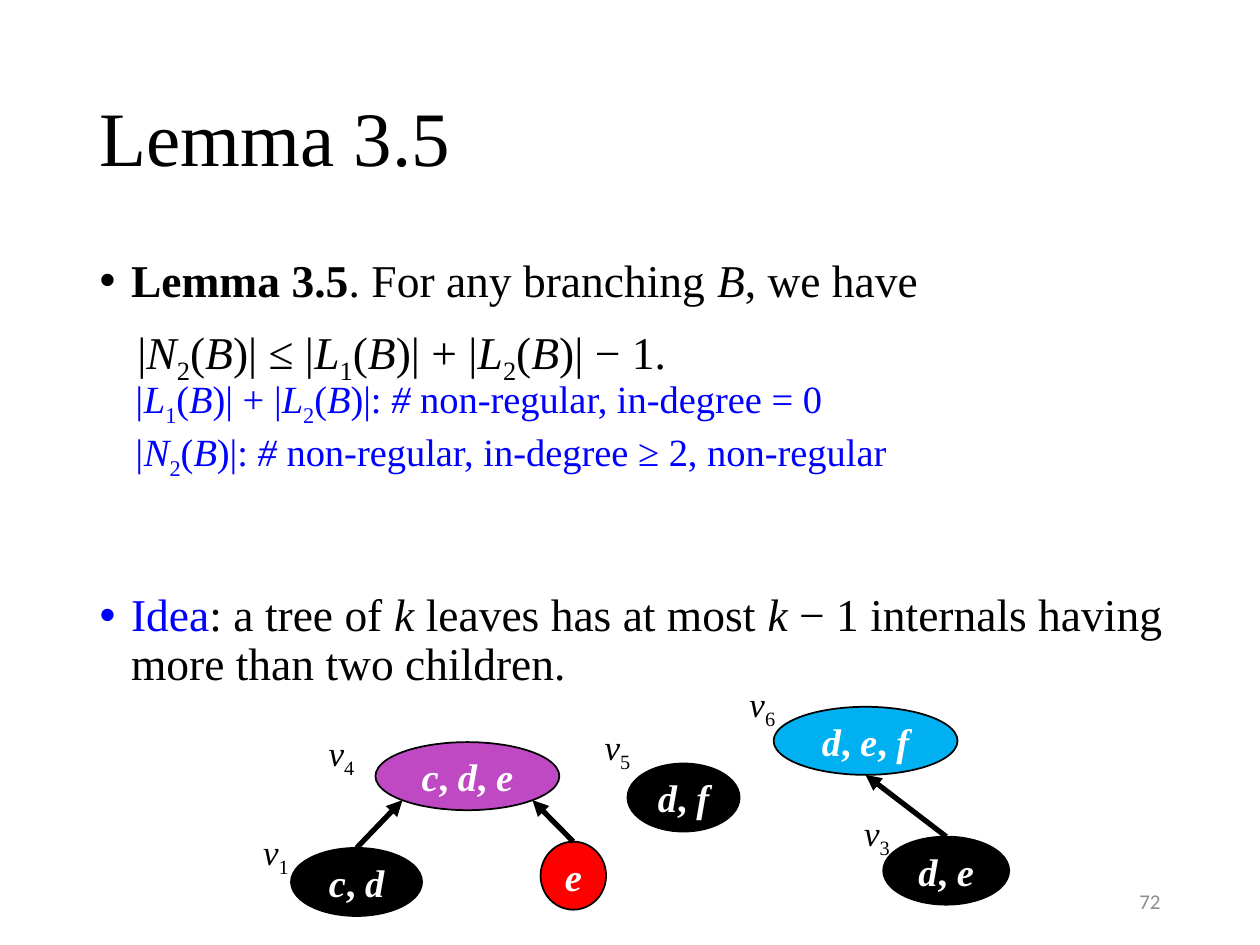
"""Build the Lemma 3.5 slide with its branching diagram on a 100 by 75 grid."""
import math
from lxml import etree
from pptx import Presentation
from pptx import util as u
from pptx.dml.color import RGBColor
from pptx.enum import shapes, text
from pptx.oxml.ns import qn

COLORS = {"black": "000000", "white": "FFFFFF", "blue": "0000FF", "red": "FF0000",
          "purple": "BF49C2", "sky": "00B0F0", "gray": "8C8C8C"}

prs = Presentation()
prs.slide_width, prs.slide_height = u.Inches(10), u.Inches(7.5)
COL, ROW = prs.slide_width / 100, prs.slide_height / 75


def cells(*values):
    """Turn alternating column and row counts into lengths."""
    return [int(v * (ROW if i % 2 else COL)) for i, v in enumerate(values)]


def write(p, markup, size=22, color="black", bold=False, font="Times New Roman", align=None):
    """Add runs to a paragraph: * toggles italic and _ toggles subscript."""
    italic = sub = False
    p.alignment = align
    for part in markup.replace("*", "\n*\n").replace("_", "\n_\n").split("\n"):
        if part == "*":
            italic = not italic
        elif part == "_":
            sub = not sub
        elif part:
            r = p.add_run()
            r.text = part
            r.font.name, r.font.size = font, u.Pt(size)
            r.font.bold, r.font.italic = bold, italic
            r.font.color.rgb = RGBColor.from_string(COLORS[color])
            if sub:
                r.font._element.set("baseline", "-25000")


s = prs.slides.add_slide(prs.slide_layouts[1])
title, body = s.placeholders
title.left, title.top, title.width, title.height = cells(6.9, 4, 86.2, 14.5)
title.text_frame.vertical_anchor = text.MSO_ANCHOR.MIDDLE
title.text_frame.paragraphs[0].line_spacing = 0.9
write(title.text_frame.paragraphs[0], "Lemma 3.5", size=44, align=text.PP_ALIGN.LEFT)

body.left, body.top, body.width, body.height = cells(6.9, 20, 92.1, 47.6)
tf = body.text_frame
tf.auto_size = text.MSO_AUTO_SIZE.NONE
items = [
    (True, 10, [("Lemma 3.5", "black", True), (". For any branching *B*, we have", "black", False)]),
    (False, 10, [("|*N*_2_(*B*)| ≤ |*L*_1_(*B*)| + |*L*_2_(*B*)| − 1.", "black", False)]),
    (True, 121, [("Idea", "blue", False),
                 (": a tree of *k* leaves has at most *k *− 1 internals having "
                  "more than two children.", "black", False)]),
]
for i, (bullet, before, parts) in enumerate(items):
    p = tf.paragraphs[0] if i == 0 else tf.add_paragraph()
    p.line_spacing, p.space_before = 0.9, u.Pt(before)
    pPr = p._p.get_or_add_pPr()
    pPr.set("marL", str(u.Inches(0.25 if bullet else 0)))
    pPr.set("indent", str(u.Inches(-0.25 if bullet else 0.3)))
    if bullet:
        etree.SubElement(pPr, qn("a:buFont")).set("typeface", "Arial")
        etree.SubElement(pPr, qn("a:buChar")).set("char", "•")
    else:
        etree.SubElement(pPr, qn("a:buNone"))
    for markup, color, bold in parts:
        write(p, markup, size=26, color=color, bold=bold)

tf = s.shapes.add_textbox(*cells(70.6, 69.5, 22.5, 4)).text_frame
tf.vertical_anchor = text.MSO_ANCHOR.MIDDLE
write(tf.paragraphs[0], "72", size=12, color="gray", font="Calibri", align=text.PP_ALIGN.RIGHT)

tf = s.shapes.add_textbox(*cells(7.2, 29.3, 65.1, 12.1)).text_frame
tf.word_wrap = True
for p, markup in zip((tf.paragraphs[0], tf.add_paragraph()), (
        "*|L*_1_(*B*)| + |*L*_2_(*B*)|:* # *non-regular, in-degree = 0",
        "*|N*_2_(*B*)|:* # *non-regular, in-degree ≥ 2, non-regular")):
    p._p.get_or_add_pPr().set("marL", str(u.Inches(0.24)))
    write(p, markup, color="blue")

NODE_H = 5.4
nodes = {
    "cd": (23.1, 67.3, 10.4, "black", "*c*, *d*"),
    "e": (42.9, 66.8, 5.2, "red", "*e*"),
    "cde": (29.8, 58.9, 14.6, "purple", "*c*, *d*, *e*"),
    "de": (70.1, 66.4, 10, "black", "*d*, *e*"),
    "def": (61.4, 56.1, 14.6, "sky", "*d*, *e*, *f*"),
    "df": (49.8, 60.6, 8.9, "black", "*d*, *f*"),
}
for x, y, w, fill, markup in nodes.values():
    sp = s.shapes.add_shape(shapes.MSO_SHAPE.OVAL, *cells(x, y, w, NODE_H))
    sp.shadow.inherit = False
    sp.fill.solid()
    sp.fill.fore_color.rgb = RGBColor.from_string(COLORS[fill])
    sp.line.color.rgb = RGBColor.from_string(COLORS["black"])
    sp.line.width = u.Pt(1)
    tf = sp.text_frame
    tf.word_wrap = False
    tf.vertical_anchor = text.MSO_ANCHOR.MIDDLE
    write(tf.paragraphs[0], markup, color="white", bold=True, align=text.PP_ALIGN.CENTER)

for number, x, y in [(5, 47, 57.1), (4, 25.1, 57.6), (1, 19.9, 65.4), (3, 67.6, 63.9), (6, 58.5, 53.7)]:
    tf = s.shapes.add_textbox(*cells(x, y, 4.7, 4.4)).text_frame
    tf.word_wrap = False
    write(tf.paragraphs[0], f"*v*_{number}_", size=20)

for child, parent, degrees in [("e", "cde", 45), ("de", "def", 90), ("cd", "cde", 135)]:
    x, y, w = nodes[child][:3]
    px, py, pw = nodes[parent][:3]
    angle = math.radians(degrees)
    end = (px + pw / 2 * (1 + math.cos(angle)), py + NODE_H / 2 * (1 + math.sin(angle)))
    line = s.shapes.add_connector(shapes.MSO_CONNECTOR.STRAIGHT, *cells(x + w / 2, y, *end))
    line.line.color.rgb = RGBColor.from_string(COLORS["black"])
    line.line.width = u.Pt(3)
    etree.SubElement(line.line._get_or_add_ln(), qn("a:tailEnd")).set("type", "triangle")
    etree.SubElement(line._element.spPr, qn("a:effectLst"))

prs.save("out.pptx")
